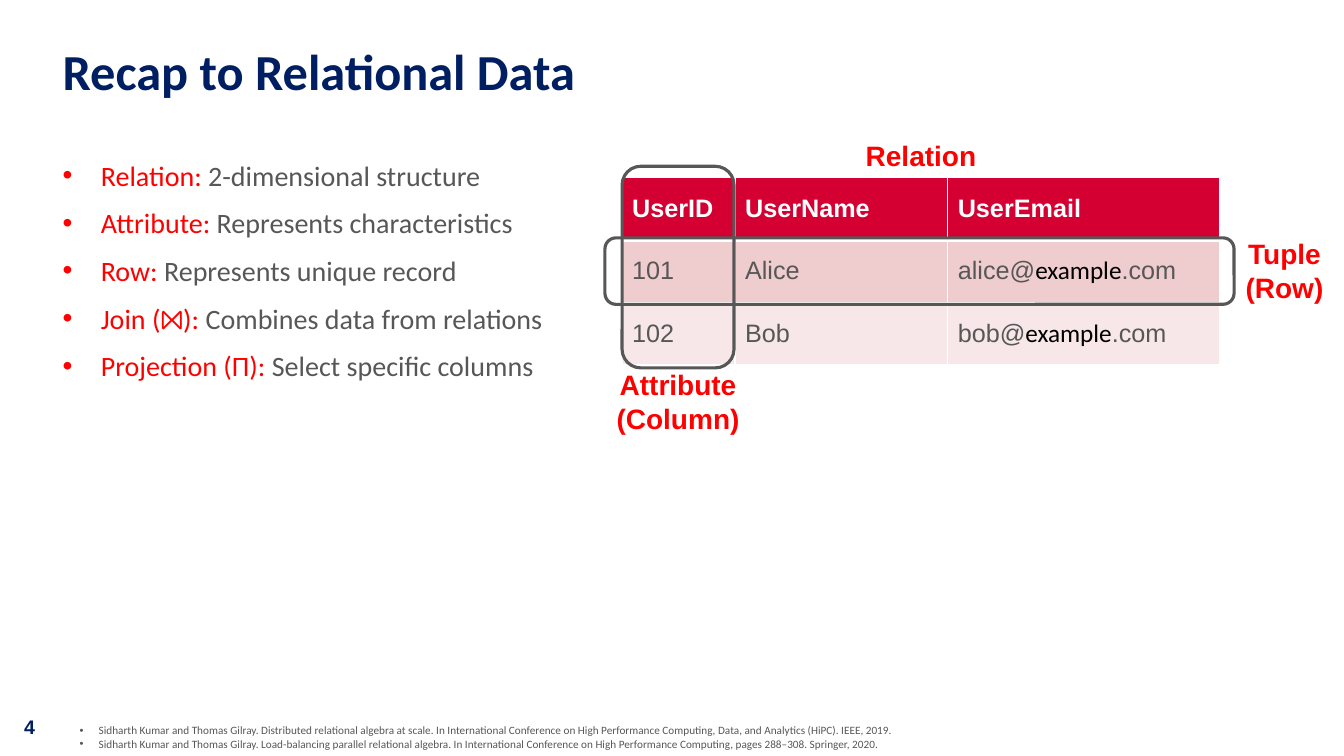
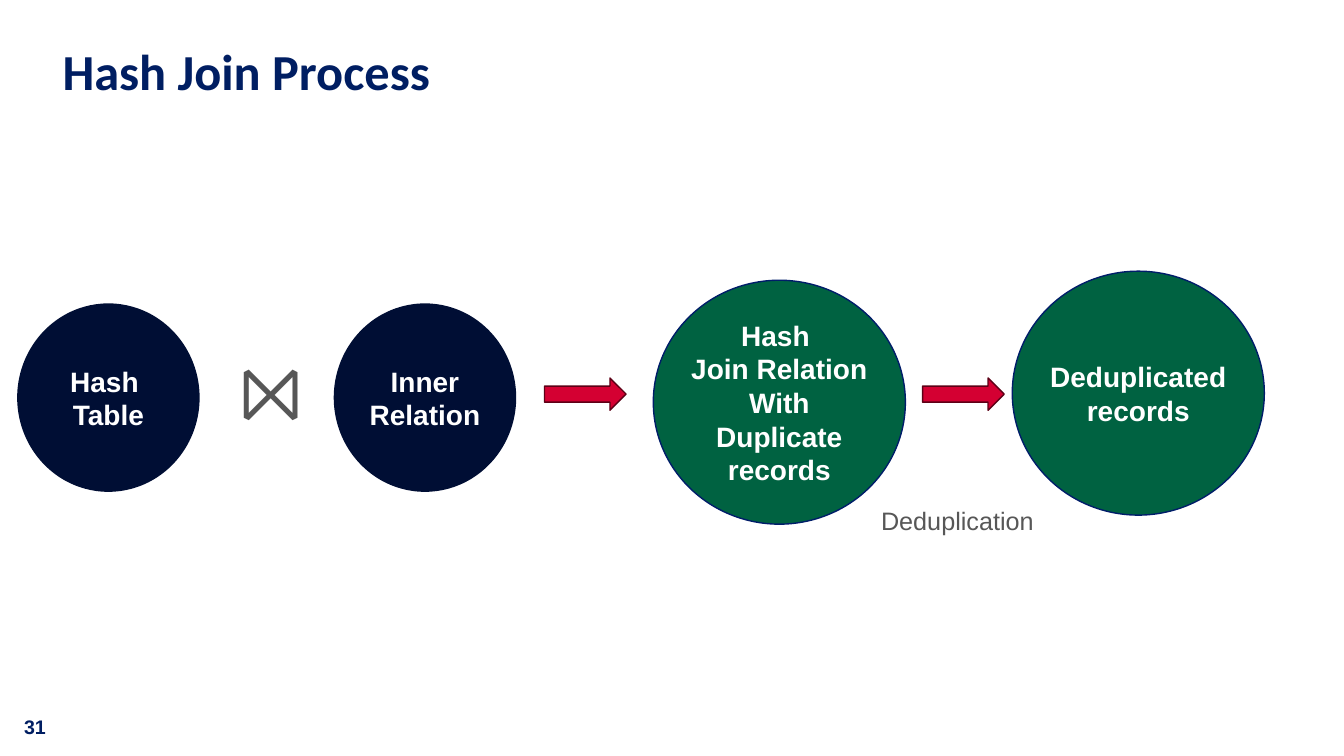
from dataclasses import dataclass

from lxml.etree import SubElement
from pptx import Presentation
from pptx.dml.color import RGBColor
from pptx.enum.shapes import MSO_SHAPE as Preset
from pptx.enum.text import MSO_ANCHOR as Anchor, PP_ALIGN as Align
from pptx.oxml.ns import qn
from pptx.util import Inches, Pt

COLORS = {
    "navy": "001E62", "gray": "575757", "red": "FF0000", "white": "FFFFFF",
    "black": "000000", "crimson": "D40032", "maroon": "5D0016",
    "pink": "EFCCCE", "blush": "F7E7E8", "midnight": "000E34",
    "green": "006241", "rim": "001D69",
}
BODY_FONT, LABEL_FONT = "Calibri", "Arial"


@dataclass
class Box:
    left: float
    top: float
    width: float
    height: float

    def at(self, left, top, width, height):
        """Return a box whose offset is measured from this one."""
        return Box(self.left + left, self.top + top, width, height)

    def lengths(self):
        return [Inches(n) for n in (self.left, self.top, self.width, self.height)]


def color(name):
    return RGBColor.from_string(COLORS[name])


def set_insets(frame, horizontal, vertical):
    frame.margin_left = frame.margin_right = Inches(horizontal)
    frame.margin_top = frame.margin_bottom = Inches(vertical)


def add_span(para, text, size, ink, font, bold=False):
    span = para.add_run()
    span.text = text
    span.font.size, span.font.name, span.font.bold = Pt(size), font, bold
    span.font.color.rgb = color(ink)


def add_bullet(para, indent):
    properties = para._p.get_or_add_pPr()
    properties.set("marL", str(Inches(indent)))
    properties.set("indent", str(-Inches(indent)))
    SubElement(properties, qn("a:buFont")).set("typeface", "Arial")
    SubElement(properties, qn("a:buChar")).set("char", "•")


def fill_frame(frame, lines, size, ink, font, bold=False, align=Align.LEFT,
               bullet=None, gap=0, spacing=None):
    """Write one paragraph per line; a line is a string or (text, ink) spans."""
    for index, line in enumerate(lines):
        para = frame.add_paragraph() if index else frame.paragraphs[0]
        para.alignment = align
        if spacing:
            para.line_spacing = spacing
        if gap and index:
            para.space_before = Pt(gap)
        if bullet:
            add_bullet(para, bullet)
        for text, span_ink in [(line, ink)] if isinstance(line, str) else line:
            add_span(para, text, size, span_ink, font, bold)


def add_text(page, box, lines, size, ink, font, insets=(0.1, 0.05), wrap=True, **style):
    frame = page.shapes.add_textbox(*box.lengths()).text_frame
    frame.word_wrap = wrap
    set_insets(frame, *insets)
    fill_frame(frame, lines, size, ink, font, **style)


def add_preset(page, preset, box, fill=None, line=None, weight=1):
    shape = page.shapes.add_shape(preset, *box.lengths())
    shape.shadow.inherit = False
    if fill:
        shape.fill.solid()
        shape.fill.fore_color.rgb = color(fill)
    else:
        shape.fill.background()
    if line:
        shape.line.color.rgb = color(line)
        shape.line.width = Pt(weight)
    else:
        shape.line.fill.background()
    return shape


def add_page(deck, title, number):
    page = deck.slides.add_slide(deck.slide_layouts[6])
    add_text(page, Box(0.62, 0.47, 12.08, 0.89), [title], 36, "navy", BODY_FONT,
             insets=(0, 0), bold=True, spacing=0.9)
    add_text(page, Box(0.14, 7.04, 0.66, 0.34), [number], 14, "navy", LABEL_FONT, bold=True)
    return page


def add_definitions(page, box, definitions):
    lines = [[(term, "red"), (meaning, "gray")] for term, meaning in definitions]
    add_text(page, box, lines, 20, "gray", BODY_FONT, insets=(0, 0), bullet=0.38, gap=10)


def add_references(page, box, references):
    add_text(page, box, references, 8, "gray", BODY_FONT, bullet=0.19)


def add_borders(cell, bottom):
    properties = cell._tc.get_or_add_tcPr()
    for side, weight in (("L", 1), ("R", 1), ("T", 1), ("B", bottom)):
        border = SubElement(properties, qn(f"a:ln{side}"), w=str(Pt(weight)))
        paint = SubElement(border, qn("a:solidFill"))
        SubElement(paint, qn("a:srgbClr"), val=COLORS["white"])


def add_user_table(page, box, widths, rows):
    """Draw a header row and tinted rows; a cell is a string or a user and domain pair."""
    table = page.shapes.add_table(len(rows), len(widths), *box.lengths()).table
    for column, width in zip(table.columns, widths):
        column.width = Inches(width)
    for row_index, row in enumerate(rows):
        table.rows[row_index].height = Inches(box.height / len(rows))
        header = row_index == 0
        for column_index, content in enumerate(row):
            cell = table.cell(row_index, column_index)
            add_borders(cell, 3 if header else 1)
            cell.fill.solid()
            cell.fill.fore_color.rgb = color(("crimson", "pink", "blush")[row_index])
            cell.vertical_anchor = Anchor.MIDDLE
            para = cell.text_frame.paragraphs[0]
            ink = "white" if header else "gray"
            if isinstance(content, str):
                add_span(para, content, 18, ink, LABEL_FONT, header)
            else:
                user, domain = content
                add_span(para, user + "@", 18, ink, LABEL_FONT)
                add_span(para, domain, 18, "black", BODY_FONT)
                add_span(para, ".com", 18, ink, LABEL_FONT)


def add_relation_diagram(page, box):
    """Draw the user table with its relation, attribute and tuple marked."""
    add_user_table(page, box, [1.12, 2.11, 2.7], [
        ("UserID", "UserName", "UserEmail"),
        ("101", "Alice", ("alice", "example")),
        ("102", "Bob", ("bob", "example")),
    ])
    column_frame = box.at(0, -0.11, 1.11, box.height + 0.14)
    row_frame = box.at(-0.17, 0.6, box.width + 0.31, 0.66)
    for frame_box in (column_frame, row_frame):
        add_preset(page, Preset.ROUNDED_RECTANGLE, frame_box, line="gray", weight=2.25)
    labels = [
        (box.at(0, -0.43, box.width, 0.44), ["Relation"]),
        (box.at(-0.62, box.height - 0.02, 2.35, 0.77), ["Attribute", "(Column)"]),
        (box.at(box.width + 0.13, 0.54, 1.02, 0.77), ["Tuple", "(Row)"]),
    ]
    for label_box, lines in labels:
        add_text(page, label_box, lines, 20, "red", LABEL_FONT, bold=True, align=Align.CENTER)


def add_stage(page, box, lines, fill, line=None):
    """Draw an ellipse with bold centred lines inside."""
    frame = add_preset(page, Preset.OVAL, box, fill, line).text_frame
    frame.word_wrap = False
    frame.vertical_anchor = Anchor.MIDDLE
    set_insets(frame, 0, 0)
    fill_frame(frame, lines, 20, "white", LABEL_FONT, bold=True, align=Align.CENTER)


def add_join_flow(page, box):
    """Draw two inputs joined, then the result before and after deduplication."""
    for left, lines in ((0, ["Hash ", "Table"]), (3.14, ["Inner", "Relation"])):
        add_stage(page, box.at(left, 0.32, 1.81, 1.87), lines, "midnight")
    add_text(page, box.at(2.12, 0.67, 0.67, 1.01), ["⨝"], 54, "gray", LABEL_FONT,
             align=Align.CENTER)
    results = [
        (6.31, 0.09, ["Hash ", "Join Relation", "With", "Duplicate", "records"]),
        (9.87, 0, ["Deduplicated", "records"]),
    ]
    for left, top, lines in results:
        add_stage(page, box.at(left, top, 2.5, 2.42), lines, "green", "rim")
    for left in (5.23, 8.98):
        add_preset(page, Preset.RIGHT_ARROW, box.at(left, 1.06, 0.81, 0.32),
                   "crimson", "maroon")
    add_text(page, box.at(8.47, 2.27, 1.73, 0.4), ["Deduplication"], 18, "gray",
             LABEL_FONT, wrap=False)


def build_recap(deck):
    page = add_page(deck, "Recap to Relational Data", "4")
    add_definitions(page, Box(0.62, 1.57, 5.12, 4.91), [
        ("Relation:", " 2-dimensional structure"),
        ("Attribute:", " Represents characteristics"),
        ("Row:", " Represents unique record"),
        ("Join (⨝):", " Combines data from relations"),
        ("Projection (Π):", " Select specific columns"),
    ])
    add_references(page, Box(0.69, 7.13, 11.85, 0.37), [
        "Sidharth Kumar and Thomas Gilray. Distributed relational algebra at scale. "
        "In International Conference on High Performance Computing, Data, and Analytics "
        "(HiPC). IEEE, 2019.",
        "Sidharth Kumar and Thomas Gilray. Load-balancing parallel relational algebra. "
        "In International Conference on High Performance Computing, pages 288–308. "
        "Springer, 2020.",
    ])
    add_relation_diagram(page, Box(6.17, 1.76, 5.93, 1.86))


def build_hash_join(deck):
    page = add_page(deck, "Hash Join Process", "31")
    add_join_flow(page, Box(0.17, 2.69, 12.37, 2.51))


def main():
    deck = Presentation()
    deck.slide_width, deck.slide_height = Inches(13.33), Inches(7.5)
    build_recap(deck)
    build_hash_join(deck)
    deck.save("out.pptx")


if __name__ == "__main__":
    main()
